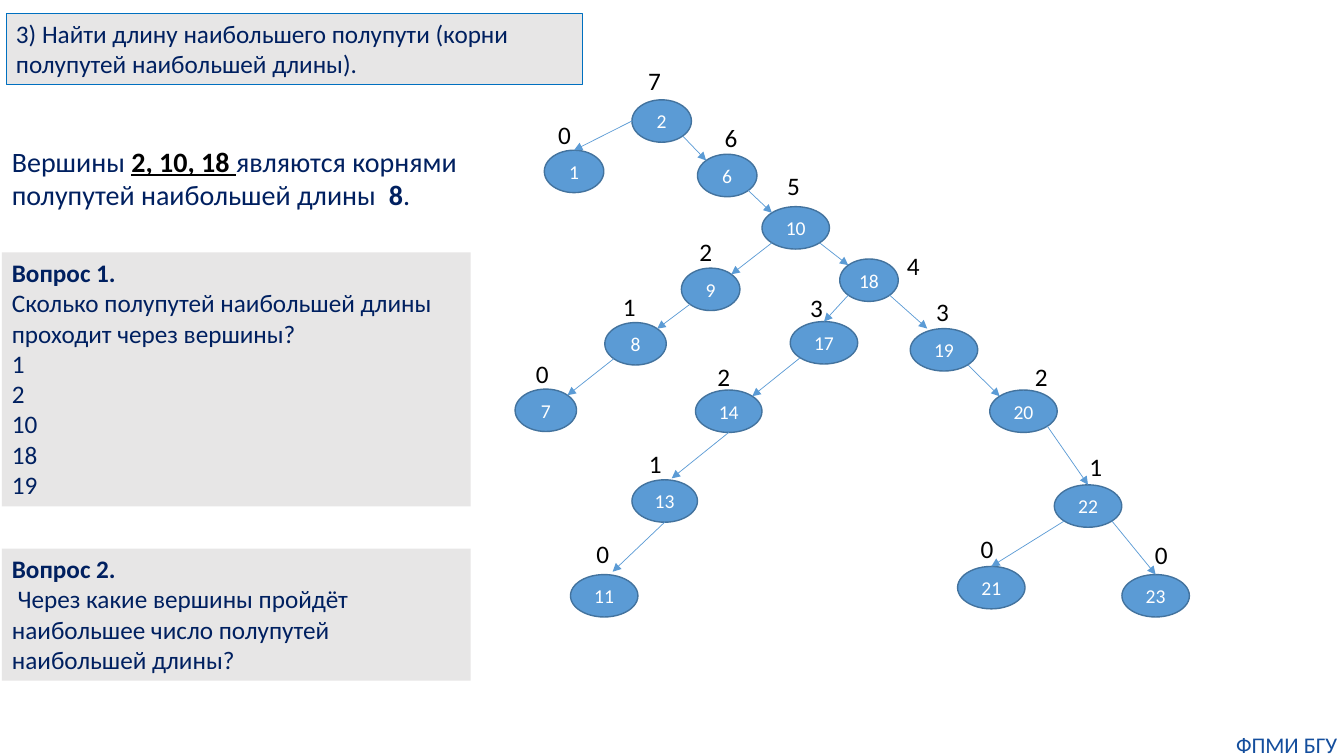
from math import sqrt

from lxml.etree import SubElement
from pptx import Presentation
from pptx.dml.color import RGBColor
from pptx.enum.shapes import MSO_CONNECTOR, MSO_SHAPE
from pptx.enum.text import MSO_ANCHOR, PP_ALIGN
from pptx.oxml.ns import qn
from pptx.util import Pt

COLORS = {
    "node": "5B9BD5",
    "node_line": "43739E",
    "panel": "E7E6E6",
    "panel_line": "0070C0",
    "navy": "002060",
    "footer": "144E9D",
    "black": "000000",
    "white": "FFFFFF",
}

NODE_HEIGHT = 30.3

# vertex: left, top, width, height label, label left, label top
NODES = {
    2: (451.4, 71.3, 42.5, 7, 455.8, 43.2),
    1: (388.8, 107.3, 42.5, 0, 391.7, 81.4),
    6: (498.2, 110.2, 42.5, 6, 510.5, 83.5),
    10: (544.3, 147.6, 48.2, 5, 555.1, 118.1),
    9: (486.7, 191.5, 41.8, 2, 492.5, 165.6),
    8: (432, 230.4, 43.9, 1, 437.8, 204.5),
    7: (367.9, 277.9, 43.9, 0, 375.8, 252.7),
    18: (599.8, 185, 41.8, 4, 640.8, 175),
    17: (564.5, 229.7, 48.2, 3, 571.7, 205.2),
    14: (496.8, 278.6, 47.5, 2, 505.4, 254.2),
    13: (451.4, 342.7, 46.8, 1, 456.5, 316.8),
    11: (407.5, 410.4, 48.2, 0, 419, 380.9),
    19: (650.2, 234.7, 48.2, 3, 661.7, 208.1),
    20: (707, 278.6, 48.2, 2, 732.2, 254.9),
    22: (753.1, 346.3, 48.2, 1, 771.1, 319),
    21: (684, 404.6, 48.2, 0, 693.4, 377.3),
    23: (801.4, 410.4, 48.2, 0, 817.9, 381.6),
}

DIAGONAL = 1 / sqrt(2)
SITES = {
    "top": (0, -1),
    "left": (-1, 0),
    "bottom": (0, 1),
    "top left": (-DIAGONAL, -DIAGONAL),
    "top right": (DIAGONAL, -DIAGONAL),
    "bottom left": (-DIAGONAL, DIAGONAL),
    "bottom right": (DIAGONAL, DIAGONAL),
}

EDGES = [
    (2, "left", 1, "top", 0, 0),
    (2, "bottom right", 6, "top left", 0, 0),
    (6, "bottom right", 10, "top left", 0, 0),
    (10, "bottom left", 9, "top right", 0, 0),
    (10, "bottom right", 18, "top left", 0, 0),
    (9, "bottom left", 8, "top right", 0, 0),
    (8, "bottom left", 7, "top right", 0, 0),
    (18, "bottom left", 17, "top", 0, 0),
    (18, "bottom right", 19, "top", -12, 0),
    (17, "bottom left", 14, "top right", 0, 0),
    (14, "bottom", 13, "top", 5, -1),
    (13, "bottom", 11, "top", 6, -2),
    (19, "bottom right", 20, "top left", 0, 0),
    (20, "bottom right", 22, "top", 0, 0),
    (22, "bottom left", 21, "top", 0, 0),
    (22, "bottom right", 23, "top", 0, 0),
]


def color(name):
    return RGBColor.from_string(COLORS[name])


def add_span(para, text, size=18, fill="navy", bold=False, underline=False):
    span = para.add_run()
    span.text = text
    font = span.font
    font.name = "Calibri"
    font.size = Pt(size)
    font.color.rgb = color(fill)
    font.bold = bold
    font.underline = underline


def add_shape(page, kind, left, top, width, height, fill, line=None, weight=1):
    shape = page.shapes.add_shape(kind, Pt(left), Pt(top), Pt(width), Pt(height))
    shape.shadow.inherit = False
    shape.fill.solid()
    shape.fill.fore_color.rgb = color(fill)
    if line:
        shape.line.color.rgb = color(line)
        shape.line.width = Pt(weight)
    else:
        shape.line.fill.background()
    return shape


def add_panel(page, left, top, width, height, paras, right_margin=7.2, line=None):
    panel = add_shape(page, MSO_SHAPE.RECTANGLE, left, top, width, height, "panel", line, 0.75)
    frame = panel.text_frame
    frame.word_wrap = True
    frame.vertical_anchor = MSO_ANCHOR.TOP
    frame.margin_right = Pt(right_margin)
    for index, (text, bold) in enumerate(paras):
        para = frame.paragraphs[0] if index == 0 else frame.add_paragraph()
        para.alignment = PP_ALIGN.LEFT
        add_span(para, text, bold=bold)


def add_text_box(page, left, top, width, height, wrap=True):
    box = page.shapes.add_textbox(Pt(left), Pt(top), Pt(width), Pt(height))
    box.text_frame.word_wrap = wrap
    return box.text_frame


def remove_margins(frame):
    frame.margin_left = frame.margin_right = frame.margin_top = frame.margin_bottom = 0


def add_node(page, vertex, left, top, width, height_label, label_left, label_top):
    node = add_shape(page, MSO_SHAPE.OVAL, left, top, width, NODE_HEIGHT, "node", "node_line")
    frame = node.text_frame
    remove_margins(frame)
    frame.vertical_anchor = MSO_ANCHOR.MIDDLE
    para = frame.paragraphs[0]
    para.alignment = PP_ALIGN.CENTER
    add_span(para, str(vertex), size=14, fill="white")
    label = add_text_box(page, label_left, label_top, 23.8, 28.8, wrap=False)
    add_span(label.paragraphs[0], str(height_label), fill="black")


def site_point(vertex, site):
    left, top, width = NODES[vertex][:3]
    across, down = SITES[site]
    return left + width / 2 * (1 + across), top + NODE_HEIGHT / 2 * (1 + down)


def add_edge(page, parent, parent_site, child, child_site, shift_x, shift_y):
    start_x, start_y = site_point(parent, parent_site)
    end_x, end_y = site_point(child, child_site)
    edge = page.shapes.add_connector(
        MSO_CONNECTOR.STRAIGHT,
        Pt(start_x), Pt(start_y), Pt(end_x + shift_x), Pt(end_y + shift_y),
    )
    edge.line.color.rgb = color("node")
    edge.line.width = Pt(0.5)
    SubElement(edge.line._get_or_add_ln(), qn("a:tailEnd"), type="triangle")
    SubElement(edge._element.spPr, qn("a:effectLst"))


def main():
    deck = Presentation()
    deck.slide_width, deck.slide_height = Pt(960), Pt(540)
    page = deck.slides.add_slide(deck.slide_layouts[6])

    for vertex, place in NODES.items():
        add_node(page, vertex, *place)
    for edge in EDGES:
        add_edge(page, *edge)

    task = "3) Найти длину наибольшего полупути (корни полупутей наибольшей длины)."
    add_panel(page, 4.3, 9.4, 411.8, 51.1, [(task, False)], line="panel_line")

    answer = add_text_box(page, 1.4, 99.4, 334.8, 77.8).paragraphs[0]
    add_span(answer, "Вершины ", size=20)
    add_span(answer, "2, 10, 18 ", size=20, fill="black", bold=True, underline=True)
    add_span(answer, "являются корнями полупутей наибольшей длины  ", size=20)
    add_span(answer, "8", size=20, bold=True)
    add_span(answer, ".", size=20)

    first_question = [
        ("Вопрос 1.", True),
        ("Сколько полупутей наибольшей длины проходит через вершины?", False),
    ]
    first_question += [(str(vertex), False) for vertex in (1, 2, 10, 18, 19)]
    second_question = [
        ("Вопрос 2.", True),
        (" Через какие вершины пройдёт наибольшее число полупутей наибольшей длины?", False),
    ]
    add_panel(page, 1.4, 180.3, 334.8, 181.4, first_question, right_margin=22)
    add_panel(page, 1.4, 391.8, 334.8, 94.3, second_question, right_margin=22)

    footer = add_text_box(page, 878.4, 522, 81.4, 18)
    remove_margins(footer)
    footer.paragraphs[0].alignment = PP_ALIGN.CENTER
    add_span(footer.paragraphs[0], "ФПМИ БГУ", size=16, fill="footer")

    deck.save("out.pptx")


if __name__ == "__main__":
    main()
